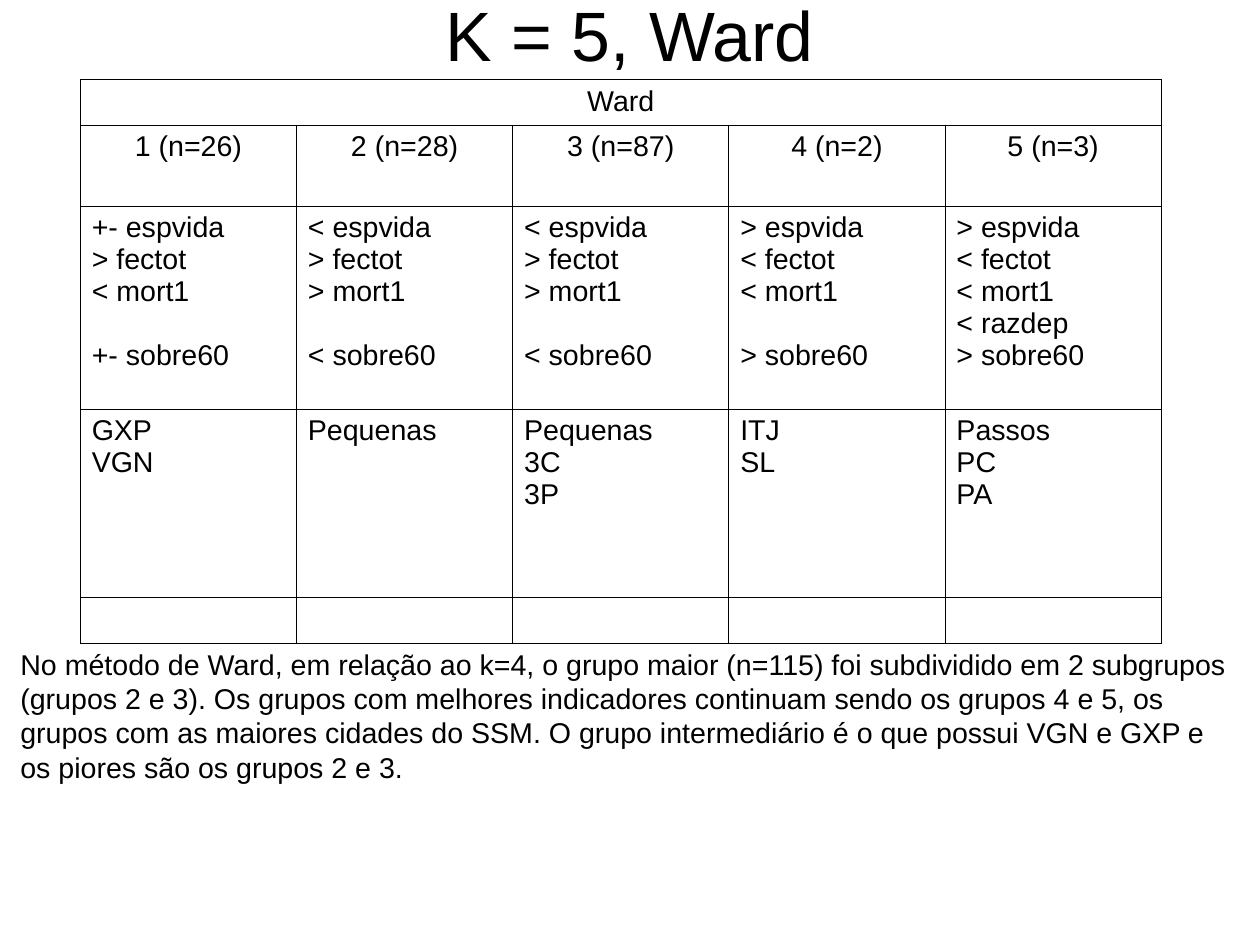
import dataclasses
import pptx
import pptx.dml.color
import pptx.enum.text
import pptx.oxml
import pptx.oxml.ns
import pptx.util

Pt = pptx.util.Pt
Align = pptx.enum.text.PP_ALIGN
Anchor = pptx.enum.text.MSO_ANCHOR


@dataclasses.dataclass(frozen=True)
class Theme:
    font: str = "Arial"
    ink: str = "000000"
    title: float = 44
    text: float = 18
    rule: float = 0.57


THEME = Theme()
TITLE = "K = 5, Ward"
HEADS = ["1 (n=26)", "2 (n=28)", "3 (n=87)", "4 (n=2)", "5 (n=3)"]
TRAITS = [
    ["+- espvida", "> fectot", "< mort1", "", "+- sobre60"],
    ["< espvida", "> fectot", "> mort1", "", "< sobre60"],
    ["< espvida", "> fectot", "> mort1", "", "< sobre60"],
    ["> espvida", "< fectot", "< mort1", "", "> sobre60"],
    ["> espvida", "< fectot", "< mort1", "< razdep", "> sobre60"],
]
TOWNS = [["GXP", "VGN"], ["Pequenas"], ["Pequenas", "3C", "3P"],
         ["ITJ", "SL"], ["Passos", "PC", "PA"]]
ROWS = [28.2, 51, 128, 118.4, 29]
NOTE = (
    "No método de Ward, em relação ao k=4, o grupo maior (n=115) foi "
    "subdividido em 2 subgrupos (grupos 2 e 3). Os grupos com melhores "
    "indicadores continuam sendo os grupos 4 e 5, os grupos com as maiores "
    "cidades do SSM. O grupo intermediário é o que possui VGN e GXP e os "
    "piores são os grupos 2 e 3."
)


def style(para, size, align):
    para.alignment = align
    for font in [para.font] + [run.font for run in para.runs]:
        font.name = THEME.font
        font.size = Pt(size)
        font.color.rgb = pptx.dml.color.RGBColor.from_string(THEME.ink)


def add_text(slide, box, text, size, align, anchor, inset):
    frame = slide.shapes.add_textbox(*map(Pt, box)).text_frame
    frame.word_wrap = True
    frame.vertical_anchor = anchor
    frame.margin_left = frame.margin_right = Pt(inset)
    frame.margin_top = frame.margin_bottom = Pt(inset / 2)
    frame.text = text
    style(frame.paragraphs[0], size, align)


def add_title(slide, box):
    add_text(slide, box, TITLE, THEME.title, Align.CENTER, Anchor.MIDDLE, 0)


def add_note(slide, box):
    add_text(slide, box, NOTE, THEME.text, Align.LEFT, Anchor.TOP, 7.2)


def add_edge(cell):
    props = cell._tc.get_or_add_tcPr()
    for at, side in enumerate(("lnL", "lnR", "lnT", "lnB")):
        props.insert(at, pptx.oxml.parse_xml(
            f'<a:{side} {pptx.oxml.ns.nsdecls("a")} w="{int(Pt(THEME.rule))}">'
            f'<a:solidFill><a:srgbClr val="{THEME.ink}"/></a:solidFill>'
            f'</a:{side}>'))


def fill_cell(cell, lines, align):
    cell.fill.background()
    add_edge(cell)
    frame = cell.text_frame
    frame.text = "\n".join(line for line in lines if line)
    for para in frame.paragraphs:
        style(para, THEME.text, align)
    if "" in lines:
        frame.paragraphs[lines.index("")].space_before = Pt(20.2)


def add_groups(slide, box):
    left, top, width, height = box
    count = len(HEADS)
    table = slide.shapes.add_table(len(ROWS), count, *map(Pt, box)).table
    table.first_row = table.horz_banding = False
    for col in table.columns:
        col.width = Pt(width / count)
    for row, size in zip(table.rows, ROWS):
        row.height = Pt(size)
    none = [[]] * count
    grid = [[["Ward"]] + none[1:], [[head] for head in HEADS], TRAITS, TOWNS, none]
    for r, cells in enumerate(grid):
        align = Align.CENTER if r < 2 else Align.LEFT
        for c, lines in enumerate(cells):
            fill_cell(table.cell(r, c), lines, align)
    table.cell(0, 0).merge(table.cell(0, count - 1))


def main():
    deck = pptx.Presentation()
    deck.slide_width, deck.slide_height = Pt(793.7), Pt(595.28)
    slide = deck.slides.add_slide(deck.slide_layouts[6])
    add_title(slide, (39.6, -28.4, 714.24, 99.36))
    add_groups(slide, (50.6, 50, 681, sum(ROWS)))
    add_note(slide, (5.76, 403.92, 782.64, 168.48))
    deck.save("out.pptx")


if __name__ == "__main__":
    main()
